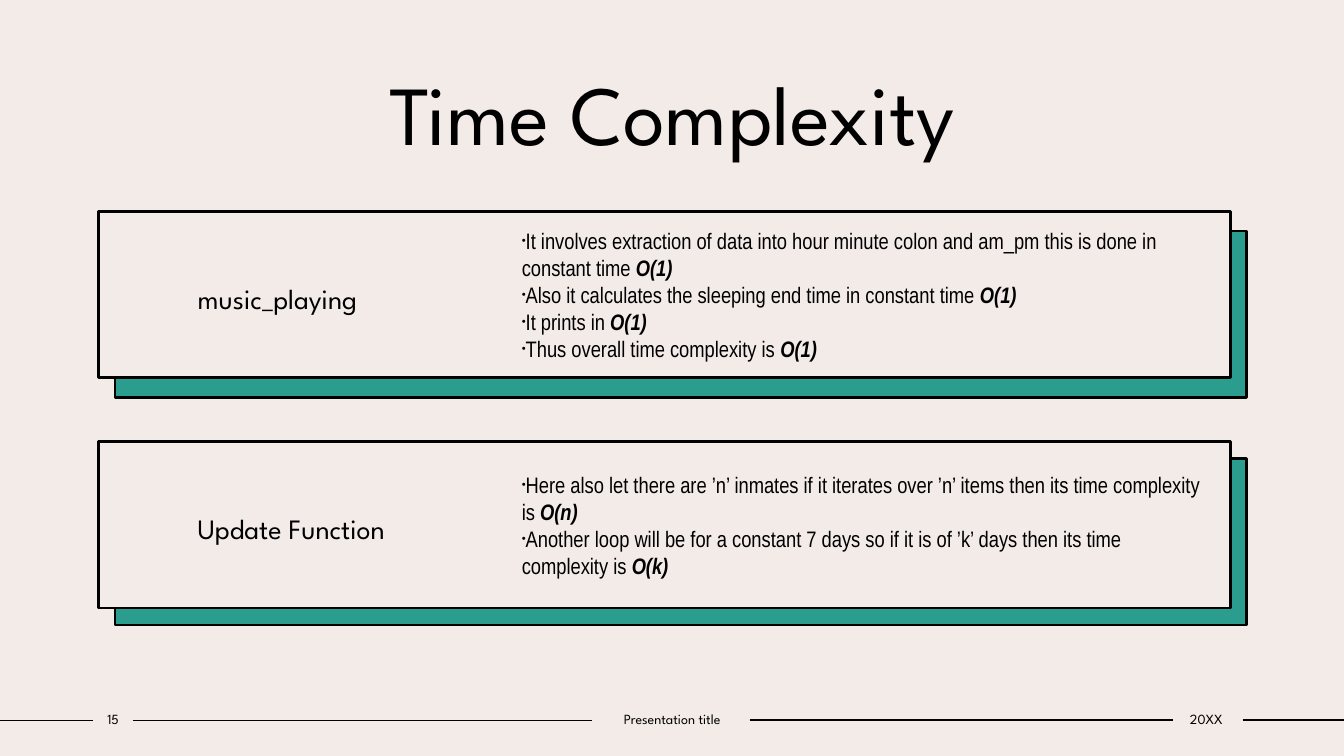
from lxml import etree
from pptx import Presentation
from pptx.dml.color import RGBColor
from pptx.enum import shapes, text
from pptx.oxml.ns import qn
from pptx.util import Cm, Pt

CREAM = RGBColor(0xF3, 0xEB, 0xE8)
TEAL = RGBColor(0x2A, 0x9D, 0x8F)
BLACK = RGBColor(0, 0, 0)
HEAD_FONT, BODY_FONT = "League Spartan", "Arial Narrow"

CARD_W, CARD_H = 28.52, 4.19
CARD_X = 2.49
# Each card: top, shadow drop, heading, bullets as (plain text, complexity)
CARDS = [
    (5.33, 0.49, "music_playing", [
        ("It involves extraction of data into hour minute colon and am_pm "
         "this is done in constant time ", "O(1)"),
        ("Also it calculates the sleeping end time in constant time", " O(1)"),
        ("It prints in ", "O(1)"),
        ("Thus overall time complexity is ", "O(1)"),
    ]),
    (11.13, 0.43, "Update Function", [
        ("Here also let there are ’n’ inmates if it iterates over ’n’ items "
         "then its time complexity is ", "O(n)"),
        ("Another loop will be for a constant 7 days so if it is of ’k’ days "
         "then its time complexity is ", "O(k)"),
    ]),
]
FOOTER_LINES = [(0, 2.34, 18.16), (3.35, 14.91, 18.16),
                (18.9, 29.57, 18.14), (31.32, 33.87, 18.14)]
FOOTER_TEXTS = [(2.34, 1.02, "15"), (14.91, 4.06, "Presentation title"),
                (29.51, 1.78, "20XX")]


def add_run(p, words, size, font, strong=False):
    r = p.add_run()
    r.text = words
    f = r.font
    f.size, f.name, f.bold, f.italic = Pt(size), font, strong, strong
    f.color.rgb = BLACK


def place(sp, x, y, w, h):
    sp.left, sp.top, sp.width, sp.height = Cm(x), Cm(y), Cm(w), Cm(h)


def set_frame(sp, left=0.25, right=0.25):
    """Wrap and centre the text vertically, with side margins in cm."""
    tf = sp.text_frame
    tf.word_wrap = True
    tf.auto_size = text.MSO_AUTO_SIZE.NONE
    tf.vertical_anchor = text.MSO_ANCHOR.MIDDLE
    tf.margin_left, tf.margin_right = Cm(left), Cm(right)
    tf.margin_top = tf.margin_bottom = Cm(0.13)
    return tf


def paint(sp, fill):
    sp.fill.solid()
    sp.fill.fore_color.rgb = fill
    sp.line.color.rgb = BLACK
    sp.line.width = Pt(2)


def set_bullet(p):
    pPr = p._p.get_or_add_pPr()
    pPr.set("marL", "0")
    pPr.set("indent", str(-Cm(0.38)))
    etree.SubElement(pPr, qn("a:buSzPct")).set("val", "50000")
    etree.SubElement(pPr, qn("a:buFont")).set("typeface", "Arial")
    etree.SubElement(pPr, qn("a:buChar")).set("char", "•")


def fill_title(sp, x, y, w, h):
    place(sp, x, y, w, h)
    p = set_frame(sp).paragraphs[0]
    p.alignment = text.PP_ALIGN.CENTER
    add_run(p, "Time Complexity", 60, HEAD_FONT)


def fill_card(s, head, body, x, y, w, h, drop, heading, bullets):
    """Framed heading with a bullet list on its right and a teal block behind."""
    block = s.shapes.add_shape(shapes.MSO_SHAPE.RECTANGLE,
                               Cm(x + 0.41), Cm(y + drop), Cm(w), Cm(h))
    block.shadow.inherit = False
    paint(block, TEAL)
    head._element.addprevious(block._element)

    place(head, x, y, w, h)
    paint(head, CREAM)
    p = set_frame(head, 2.49, 18.03).paragraphs[0]
    p.line_spacing = 1.2
    p.space_before = Pt(0)
    add_run(p, heading, 20, HEAD_FONT)

    place(body, x + 10.41, y + 0.25, 17.81, h - 0.5)
    tf = set_frame(body)
    for i, (words, order) in enumerate(bullets):
        p = tf.add_paragraph() if i else tf.paragraphs[0]
        p.line_spacing = 1.0
        p.space_before = Pt(0)
        set_bullet(p)
        add_run(p, words, 16, BODY_FONT)
        add_run(p, order, 16, BODY_FONT, strong=True)


def add_footer(s, y, h):
    for x1, x2, line_y in FOOTER_LINES:
        line = s.shapes.add_connector(shapes.MSO_CONNECTOR.STRAIGHT,
                                      Cm(x1), Cm(line_y), Cm(x2), Cm(line_y))
        line.line.color.rgb = BLACK
        line.line.width = Pt(1)
        etree.SubElement(line._element.spPr, qn("a:effectLst"))
    for x, w, words in FOOTER_TEXTS:
        tb = s.shapes.add_textbox(Cm(x), Cm(y), Cm(w), Cm(h))
        p = set_frame(tb, 0, 0).paragraphs[0]
        p.alignment = text.PP_ALIGN.CENTER
        add_run(p, words, 10, HEAD_FONT)


def main():
    prs = Presentation()
    prs.slide_width, prs.slide_height = Cm(33.87), Cm(19.05)
    s = prs.slides.add_slide(prs.slide_layouts.get_by_name("Comparison"))
    s.background.fill.solid()
    s.background.fill.fore_color.rgb = CREAM

    title, *bodies = s.placeholders
    fill_title(title, 3.18, 1.42, 27.53, 2.82)
    for head, body, (y, drop, heading, bullets) in zip(
            bodies[::2], bodies[1::2], CARDS):
        fill_card(s, head, body, CARD_X, y, CARD_W, CARD_H,
                  drop, heading, bullets)
    add_footer(s, 17.78, 0.69)
    prs.save("out.pptx")


if __name__ == "__main__":
    main()
